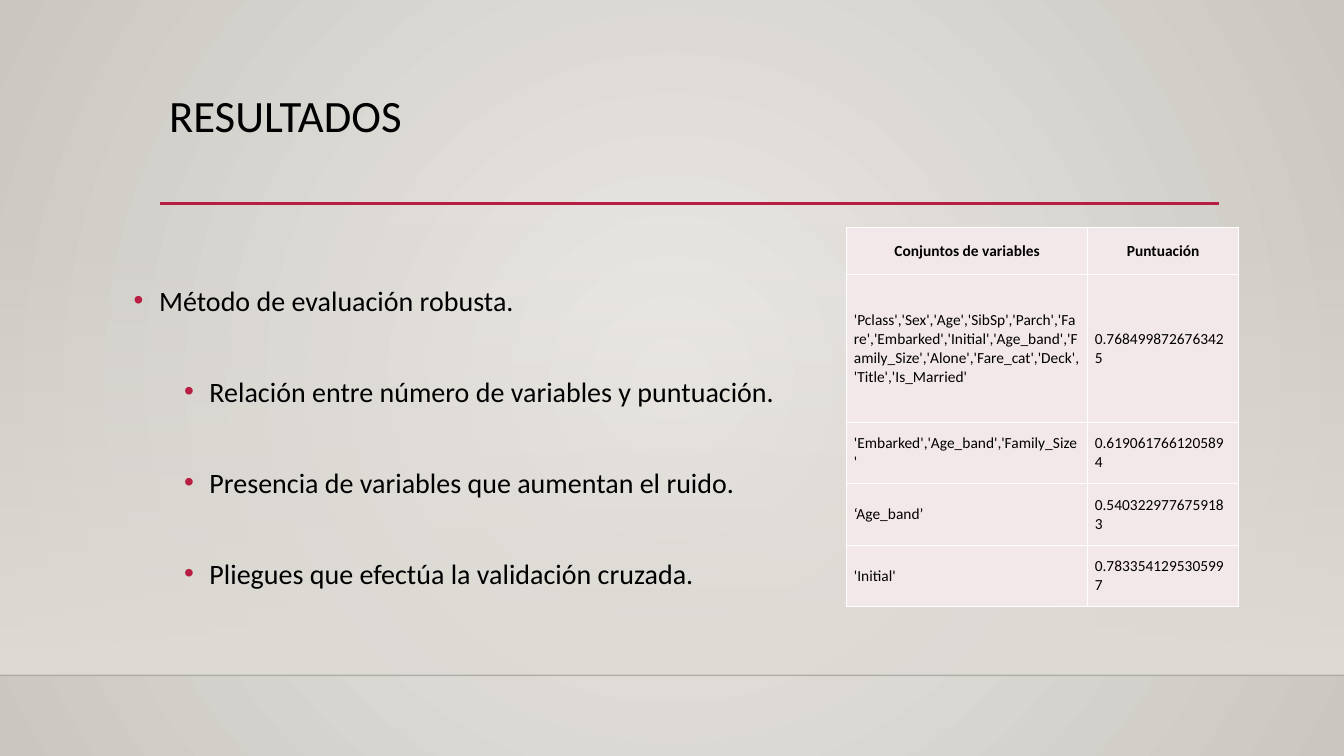
from dataclasses import dataclass

from lxml.etree import SubElement
from pptx import Presentation
from pptx.dml.color import RGBColor
from pptx.enum.shapes import MSO_CONNECTOR, MSO_SHAPE
from pptx.enum.text import MSO_ANCHOR, PP_ALIGN
from pptx.oxml.ns import qn
from pptx.util import Cm, Pt


@dataclass(frozen=True)
class Theme:
    font: str = "Calibri"
    text: str = "000000"
    accent: str = "B71E42"
    glow: str = "ECEAE7"
    edge: str = "CAC7C1"
    floor: str = "DFDBD5"
    floor_line: str = "000001"
    cell: str = "F3E8E9"
    border: str = "FFFFFF"
    title_size: int = 32
    body_size: int = 20
    table_size: int = 11


@dataclass(frozen=True)
class Box:
    left: float
    top: float
    width: float
    height: float

    def lengths(self):
        return Cm(self.left), Cm(self.top), Cm(self.width), Cm(self.height)


THEME = Theme()
SLIDE = Box(0, 0, 33.87, 19.05)
FLOOR = Box(0, 5.61, SLIDE.width, 11.41)
TITLE = Box(4.01, 2.24, 26.67, 2.95)
BODY = Box(3.12, 5.74, 17.25, 9.58)
SCORES = Box(21.34, 5.74, 9.88, 9.55)

POINTS = [
    (0, "Método de evaluación robusta."),
    (1, "Relación entre número de variables y puntuación."),
    (1, "Presencia de variables que aumentan el ruido."),
    (1, "Pliegues que efectúa la validación cruzada."),
]
SCORE_ROWS = [
    ("Conjuntos de variables", "Puntuación"),
    ("'Pclass','Sex','Age','SibSp','Parch','Fare','Embarked','Initial',"
     "'Age_band','Family_Size','Alone','Fare_cat','Deck','Title','Is_Married'",
     "0.7684998726763425"),
    ("'Embarked','Age_band','Family_Size'", "0.6190617661205894"),
    ("‘Age_band’", "0.5403229776759183"),
    ("'Initial'", "0.7833541295305997"),
]
COLUMN_WIDTHS = [6.07, 3.81]
ROW_HEIGHTS = [1.17, 3.73, 1.55, 1.55, 1.55]


def style_font(paragraph, size, bold=False):
    font = paragraph.font
    font.name, font.size, font.bold = THEME.font, Pt(size), bold
    font.color.rgb = RGBColor.from_string(THEME.text)


def set_opacity(color_parent, percent):
    SubElement(next(color_parent.iter(qn("a:srgbClr"))), qn("a:alpha"), val=str(percent * 1000))


def fill_gradient(fill, colors):
    fill.gradient()
    for stop, color in zip(fill.gradient_stops, colors):
        stop.color.rgb = RGBColor.from_string(color)


def add_line(slide, left, right, y, color, weight):
    line = slide.shapes.add_connector(MSO_CONNECTOR.STRAIGHT, Cm(left), Cm(y), Cm(right), Cm(y))
    line.line.color.rgb = RGBColor.from_string(color)
    line.line.width = Pt(weight)
    SubElement(line._element.spPr, qn("a:effectLst"))
    return line


def add_text_frame(slide, box):
    frame = slide.shapes.add_textbox(*box.lengths()).text_frame
    frame.word_wrap = True
    return frame


def paint_background(slide):
    fill_gradient(slide.background.fill, [THEME.glow, THEME.edge])
    gradient = next(slide._element.iter(qn("a:gradFill")))
    gradient.remove(gradient.find(qn("a:lin")))
    circle = SubElement(gradient, qn("a:path"), path="circle")
    SubElement(circle, qn("a:fillToRect"), {side: "50000" for side in "ltrb"})


def add_floor(slide, box):
    wall = slide.shapes.add_shape(MSO_SHAPE.RECTANGLE, *box.lengths())
    wall.shadow.inherit = False
    wall.line.fill.background()
    fill_gradient(wall.fill, [THEME.floor, THEME.floor])
    wall.fill.gradient_angle = 270
    set_opacity(next(wall._element.iter(qn("a:gs"))), 0)
    edge = add_line(slide, box.left, box.left + box.width, box.top + box.height, THEME.floor_line, 1)
    set_opacity(edge._element.spPr, 20)


def add_title(slide, box):
    add_line(slide, box.left + 0.03, box.left + box.width + 0.05, box.top + 2.89, THEME.accent, 2.5)
    heading = add_text_frame(slide, box).paragraphs[0]
    heading.text = "RESULTADOS"
    heading.line_spacing = 0.9
    style_font(heading, THEME.title_size)


def add_points(slide, box):
    frame = add_text_frame(slide, box)
    for index, (level, text) in enumerate(POINTS):
        point = frame.paragraphs[0] if index == 0 else frame.add_paragraph()
        point.text = text
        point.level = level
        point.line_spacing = 2.5
        point.space_before = Pt(5 if level else 10)
        properties = point._p.get_or_add_pPr()
        properties.set("marL", str(Cm(0.64 + 1.27 * level)))
        properties.set("indent", str(-Cm(0.64)))
        bullet_color = SubElement(properties, qn("a:buClr"))
        SubElement(bullet_color, qn("a:srgbClr"), val=THEME.accent)
        SubElement(properties, qn("a:buFont"), typeface="Arial")
        SubElement(properties, qn("a:buChar"), char="•")
        style_font(point, THEME.body_size)


def add_cell_borders(cell):
    properties = cell._tc.get_or_add_tcPr()
    for position, side in enumerate(("lnL", "lnR", "lnT", "lnB")):
        border = properties.makeelement(qn(f"a:{side}"), {"w": str(Pt(1))})
        color = SubElement(SubElement(border, qn("a:solidFill")), qn("a:srgbClr"))
        color.set("val", THEME.border)
        properties.insert(position, border)


def add_scores(slide, box):
    table = slide.shapes.add_table(len(SCORE_ROWS), len(COLUMN_WIDTHS), *box.lengths()).table
    table.horz_banding = False
    for column, width in zip(table.columns, COLUMN_WIDTHS):
        column.width = Cm(width)
    for row, height in zip(table.rows, ROW_HEIGHTS):
        row.height = Cm(height)
    for row_index, entries in enumerate(SCORE_ROWS):
        is_header = row_index == 0
        alignments = [PP_ALIGN.CENTER] * 2 if is_header else [PP_ALIGN.JUSTIFY, PP_ALIGN.LEFT]
        for column_index, (text, alignment) in enumerate(zip(entries, alignments)):
            cell = table.cell(row_index, column_index)
            cell.fill.solid()
            cell.fill.fore_color.rgb = RGBColor.from_string(THEME.cell)
            cell.vertical_anchor = MSO_ANCHOR.MIDDLE
            cell.margin_left = cell.margin_right = Cm(0.18)
            cell.margin_top = cell.margin_bottom = 0
            add_cell_borders(cell)
            entry = cell.text_frame.paragraphs[0]
            entry.text = text
            entry.alignment = alignment
            style_font(entry, THEME.table_size, is_header)


def main():
    deck = Presentation()
    deck.slide_width, deck.slide_height = Cm(SLIDE.width), Cm(SLIDE.height)
    slide = deck.slides.add_slide(deck.slide_layouts[6])
    paint_background(slide)
    add_floor(slide, FLOOR)
    add_title(slide, TITLE)
    add_points(slide, BODY)
    add_scores(slide, SCORES)
    deck.save("out.pptx")


if __name__ == "__main__":
    main()
